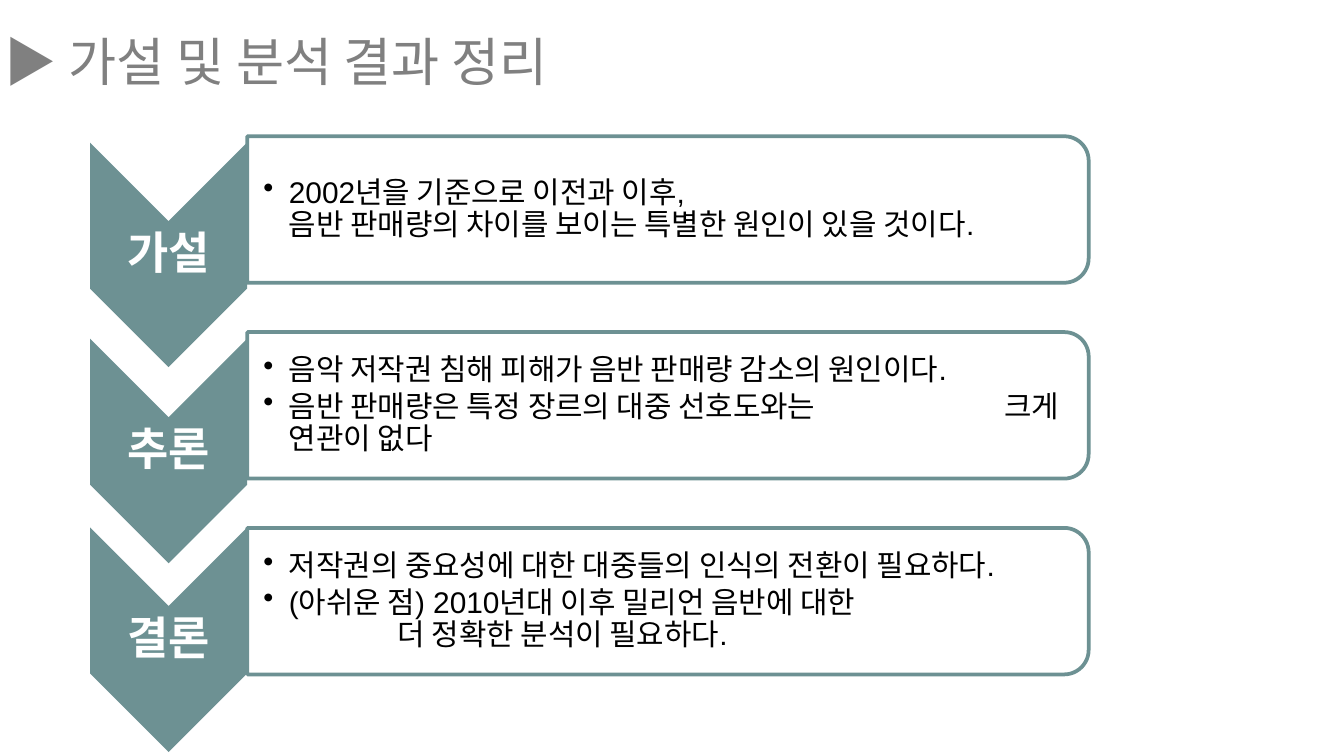
import lxml.etree
import pptx
import pptx.dml.color
import pptx.enum.shapes
import pptx.enum.text
import pptx.oxml.ns
import pptx.util

Pt = pptx.util.Pt
qn = pptx.oxml.ns.qn
SHAPE = pptx.enum.shapes.MSO_SHAPE
ANCHOR = pptx.enum.text.MSO_ANCHOR
ALIGN = pptx.enum.text.PP_ALIGN
COLORS = {"teal": "6D9193", "gray": "808080", "white": "FFFFFF", "black": "000000"}


def rgb(name):
    return pptx.dml.color.RGBColor.from_string(COLORS[name])


def write(p, text, size=16, color="black", font="Arial", east=None, bold=False,
          align=ALIGN.LEFT, spacing=0.9, after=0):
    """Fill a paragraph with one formatted run; a line feed breaks the line."""
    for i, line in enumerate(text.split("\n")):
        if i:
            p.add_line_break()
        r = p.add_run()
        r.text = line
        r.font.size, r.font.bold, r.font.name = Pt(size), bold, font
        r.font.color.rgb = rgb(color)
        if east:
            lxml.etree.SubElement(r.font._element, qn("a:ea"), typeface=east)
    p.alignment, p.line_spacing = align, spacing
    p.space_before, p.space_after = Pt(0), Pt(after)


def indent(p, left, bullet=False, tab=None):
    """Set the left indent, with a hanging bullet and a tab stop if wanted."""
    pPr = p._p.get_or_add_pPr()
    pPr.set("marL", str(Pt(left)))
    pPr.set("indent", str(Pt(-left if bullet else 0)))
    if bullet:
        lxml.etree.SubElement(pPr, qn("a:buChar"), char="•")
    else:
        lxml.etree.SubElement(pPr, qn("a:buNone"))
    if tab:
        tabs = lxml.etree.SubElement(pPr, qn("a:tabLst"))
        lxml.etree.SubElement(tabs, qn("a:tab"), pos=str(Pt(tab)), algn="l")


class Deck:
    def __init__(self, width, height):
        self.prs = pptx.Presentation()
        self.prs.slide_width, self.prs.slide_height = Pt(width), Pt(height)
        self.s = self.prs.slides.add_slide(self.prs.slide_layouts[5])

    def frame(self, tf, left, top, right, bottom):
        tf.word_wrap = True
        tf.auto_size = pptx.enum.text.MSO_AUTO_SIZE.NONE
        tf.vertical_anchor = ANCHOR.MIDDLE
        tf.margin_left, tf.margin_top = Pt(left), Pt(top)
        tf.margin_right, tf.margin_bottom = Pt(right), Pt(bottom)
        return tf

    def title(self, text, x, y, w, h):
        sp = self.s.shapes.title
        sp.left, sp.top, sp.width, sp.height = Pt(x), Pt(y), Pt(w), Pt(h)
        tf = self.frame(sp.text_frame, 17, 3.6, 7.2, 3.6)
        write(tf.paragraphs[0], text, size=28, color="gray", spacing=1,
              font="Noto Sans CJK KR", east="Noto Sans CJK KR")

    def turned(self, kind, x, y, w, h):
        """Add a shape turned by 90 degrees that covers the given area."""
        sp = self.s.shapes.add_shape(kind, Pt(x + (w - h) / 2), Pt(y + (h - w) / 2),
                                     Pt(h), Pt(w))
        sp.rotation = 90
        sp.shadow.inherit = False
        sp.fill.solid()
        return sp

    def chevron(self, x, y, w, h):
        sp = self.turned(SHAPE.CHEVRON, x, y, w, h)
        sp.fill.fore_color.rgb = rgb("teal")
        sp.line.fill.background()

    def panel(self, x, y, w, h):
        sp = self.turned(SHAPE.ROUND_2_SAME_RECTANGLE, x, y, w, h)
        sp.fill.fore_color.rgb = rgb("white")
        color = sp._element.spPr.find(qn("a:solidFill"))[0]
        lxml.etree.SubElement(color, qn("a:alpha"), val="90000")
        sp.line.color.rgb, sp.line.width = rgb("teal"), Pt(2)

    def text(self, x, y, w, h, margins):
        sp = self.s.shapes.add_textbox(Pt(x), Pt(y), Pt(w), Pt(h))
        return self.frame(sp.text_frame, *margins)

    def label(self, text, x, y, w, h):
        tf = self.text(x, y, w, h, (1.4, 1.4, 1.4, 1.4))
        write(tf.paragraphs[0], text, size=24, color="white", bold=True,
              align=ALIGN.CENTER)

    def points(self, items, x, y, w, h):
        tf = self.text(x, y, w, h, (8.6, 0.7, 0.7, 0.7))
        for i, (text, after, layout) in enumerate(items):
            p = tf.add_paragraph() if i else tf.paragraphs[0]
            write(p, text, after=after)
            indent(p, **layout)


BULLET = {"left": 13.7, "bullet": True}
# Label, chevron top, bullet points as (text, space after, indents)
STEPS = [
    ("가설", 76.4, [
        ("2002년을 기준으로 이전과 이후,\n"
         "음반 판매량의 차이를 보이는 특별한 원인이 있을 것이다.", 2.4, BULLET)]),
    ("추론", 181.5, [
        ("음악 저작권 침해 피해가 음반 판매량 감소의 원인이다.", 2.4, BULLET),
        ("음반 판매량은 특정 장르의 대중 선호도와는\t크게 연관이 없다", 2.4,
         {**BULLET, "tab": 397})]),
    ("결론", 282.6, [
        ("저작권의 중요성에 대한 대중들의 인식의 전환이 필요하다.", 2.4, BULLET),
        ("(아쉬운 점) 2010년대 이후 밀리언 음반에 대한", 0, BULLET),
        ("더 정확한 분석이 필요하다.", 2.4, {"left": 72})]),
]


def main():
    deck = Deck(720, 405)
    deck.title("▶ 가설 및 분석 결과 정리", -14.4, 10, 521.3, 45.4)

    # One row per step: chevron with label, panel with points
    for i, (name, top, items) in enumerate(STEPS):
        y = 73 + 104.9 * i
        deck.chevron(48.2, top, 84.2, 120.3)
        deck.label(name, 48.2, top + 42.1, 84.2, 36)
        deck.panel(132.5, y, 450.7, 78.5)
        deck.points(items, 132.5, y + 4, 447.1, 70.6)

    deck.prs.save("out.pptx")


if __name__ == "__main__":
    main()
